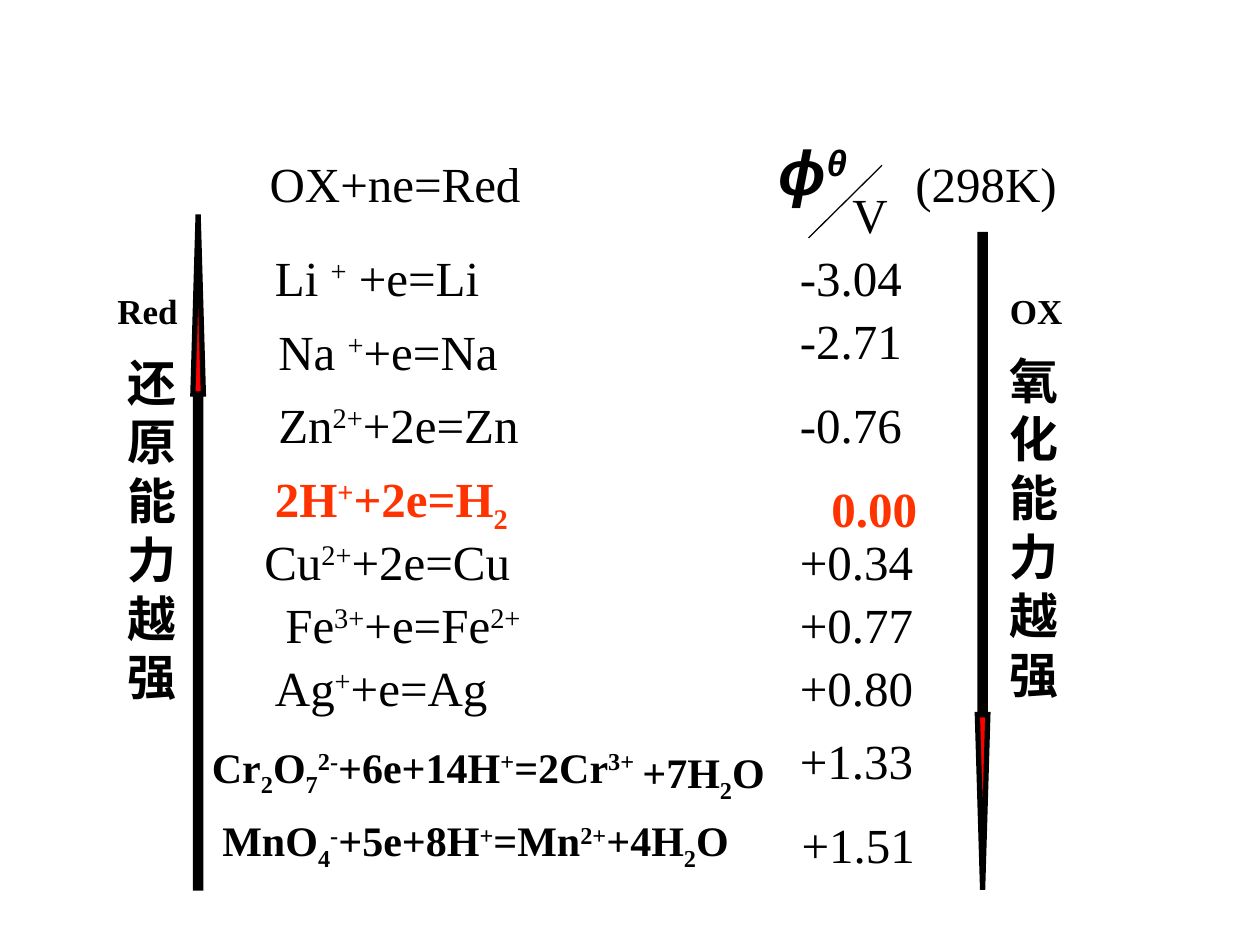
from dataclasses import dataclass

from pptx import Presentation
from pptx.dml.color import RGBColor
from pptx.enum.shapes import MSO_CONNECTOR as Connector, MSO_SHAPE as Shape
from pptx.enum.text import MSO_AUTO_SIZE as AutoSize
from pptx.oxml.xmlchemy import OxmlElement
from pptx.util import Pt


@dataclass(frozen=True)
class Theme:
    """Colours, fonts and type sizes of the slide."""
    ink: RGBColor = RGBColor(0, 0, 0)
    highlight: RGBColor = RGBColor(0xFF, 0x33, 0x00)
    arrow_fill: RGBColor = RGBColor(0xFF, 0, 0)
    font: str = "Times New Roman"
    symbol_font: str = "Arial"
    symbol: int = 36
    body: int = 28
    long_equation: int = 24
    label: int = 20


THEME = Theme()
BASELINES = {"^": "30000", "_": "-25000"}

HALF_REACTIONS = [
    ("Li |^+| +e=Li", 150, 138, 178.5),
    ("Na |^+|+e=Na", 152, 180, 172),
    ("Zn|^2+|+2e=Zn", 152, 222, 196.5),
    ("Cu|^2+|+2e=Cu", 144, 300, 196.5),
    ("Fe|^3+|+e=Fe|^2+", 156, 336, 186),
    ("Ag|^+|+e=Ag", 150, 372, 250.5),
]
LONG_REACTIONS = [
    ("MnO|_4|^-|+5e+8H|^+|=Mn|^2+|+4H|_2|O", 120, 462, 385),
    ("Cr|_2|O|_7|^2-|+6e+14H|^+|=2Cr|^3+", 114, 420, 355),
    ("+7H|_2|O", 360, 423, 132),
]
POTENTIALS = [
    ("-3.04", 450, 138, 169),
    ("-2.71", 450, 174, 92),
    ("-0.76", 450, 222, 88.5),
    ("+0.34", 450, 300, 109.5),
    ("+0.77", 450, 336, 130),
    ("+0.80", 450, 372, 124.5),
    ("+1.33", 450, 414, 91.5),
    ("+1.51", 451, 462, 123),
]


def add_text(slide, text, left, top, width, *, height=41, size=THEME.body,
             font=THEME.font, color=THEME.ink, bold=False, italic=False):
    """Add a text box; parts split by | are raised by ^ and lowered by _."""
    frame = slide.shapes.add_textbox(Pt(left), Pt(top), Pt(width), Pt(height)).text_frame
    frame.word_wrap = True
    frame.auto_size = AutoSize.SHAPE_TO_FIT_TEXT
    for part in text.split("|"):
        run = frame.paragraphs[0].add_run()
        run.text = part.lstrip("^_")
        run.font.size = Pt(size)
        run.font.name = font
        run.font.bold = bold
        run.font.italic = italic
        run.font.color.rgb = color
        if part[0] in BASELINES:
            run._r.get_or_add_rPr().set("baseline", BASELINES[part[0]])


def add_strength_arrow(slide, direction, left, top, height, head_ratio):
    """Add a slim vertical arrow with a long head and sharp corners."""
    arrow = slide.shapes.add_shape(direction, Pt(left), Pt(top), Pt(6), Pt(height))
    arrow.adjustments[0] = 0.5
    arrow.adjustments[1] = head_ratio
    arrow.shadow.inherit = False
    arrow.fill.solid()
    arrow.fill.fore_color.rgb = THEME.arrow_fill
    arrow.line.color.rgb = THEME.ink
    arrow.line.width = Pt(3)
    miter = OxmlElement("a:miter")
    miter.set("lim", "800000")
    arrow.line._get_or_add_ln().append(miter)


def add_slash(slide, start, end):
    """Add the thin stroke between the potential and its unit."""
    slash = slide.shapes.add_connector(Connector.STRAIGHT, *map(Pt, start + end))
    slash.line.color.rgb = THEME.ink
    slash.line.width = Pt(0.75)
    slash._element.spPr.append(OxmlElement("a:effectLst"))


def add_header(slide):
    """Add the general reaction and the heading of the potentials."""
    add_text(slide, "OX+ne=Red", 147, 84, 235)
    add_text(slide, "ϕ|^θ", 438, 72, 86, height=50, size=THEME.symbol,
             font=THEME.symbol_font, bold=True, italic=True)
    add_slash(slide, (504, 94.5), (462, 136))
    add_text(slide, "V", 480, 102, 30)
    add_text(slide, "(298K)", 516, 84, 118)


def add_reactions(slide):
    """Add the half reactions and their standard potentials."""
    for row in HALF_REACTIONS + POTENTIALS:
        add_text(slide, *row)
    for row in LONG_REACTIONS:
        add_text(slide, *row, height=40, size=THEME.long_equation, bold=True)
    hydrogen = {"color": THEME.highlight, "bold": True}
    add_text(slide, "2H|^+|+2e=H|_2", 150, 264, 198, height=45, **hydrogen)
    add_text(slide, "0.00", 468, 270, 118, **hydrogen)


def add_trend(slide, species, trend, species_left, trend_left, trend_top):
    """Add a species label over its trend, written one character a line."""
    add_text(slide, species, species_left, 162, 58, height=32,
             size=THEME.label, bold=True)
    add_text(slide, trend, trend_left, trend_top, 48, height=209, bold=True)


def main():
    """Build and save the slide."""
    deck = Presentation()
    deck.slide_width, deck.slide_height = Pt(720), Pt(540)
    slide = deck.slides.add_slide(deck.slide_layouts[6])
    add_header(slide)
    add_reactions(slide)
    add_trend(slide, "OX", "氧化能力越强", 570, 569.5, 196.5)
    add_trend(slide, "Red", "还原能力越强", 60, 66, 198)
    add_strength_arrow(slide, Shape.UP_ARROW, 110.25, 122.5, 385, 17.09)
    add_strength_arrow(slide, Shape.DOWN_ARROW, 558.5, 134, 374.5, 16.66)
    deck.save("out.pptx")


if __name__ == "__main__":
    main()
